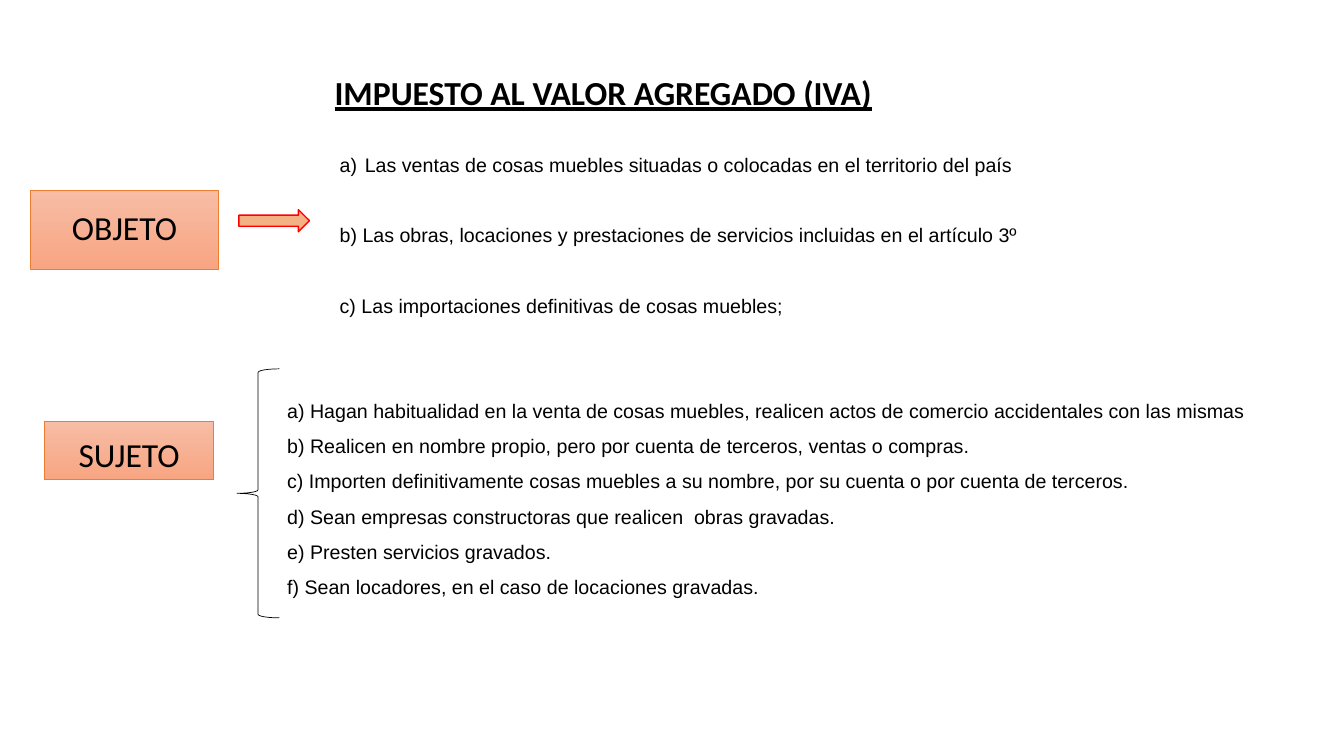
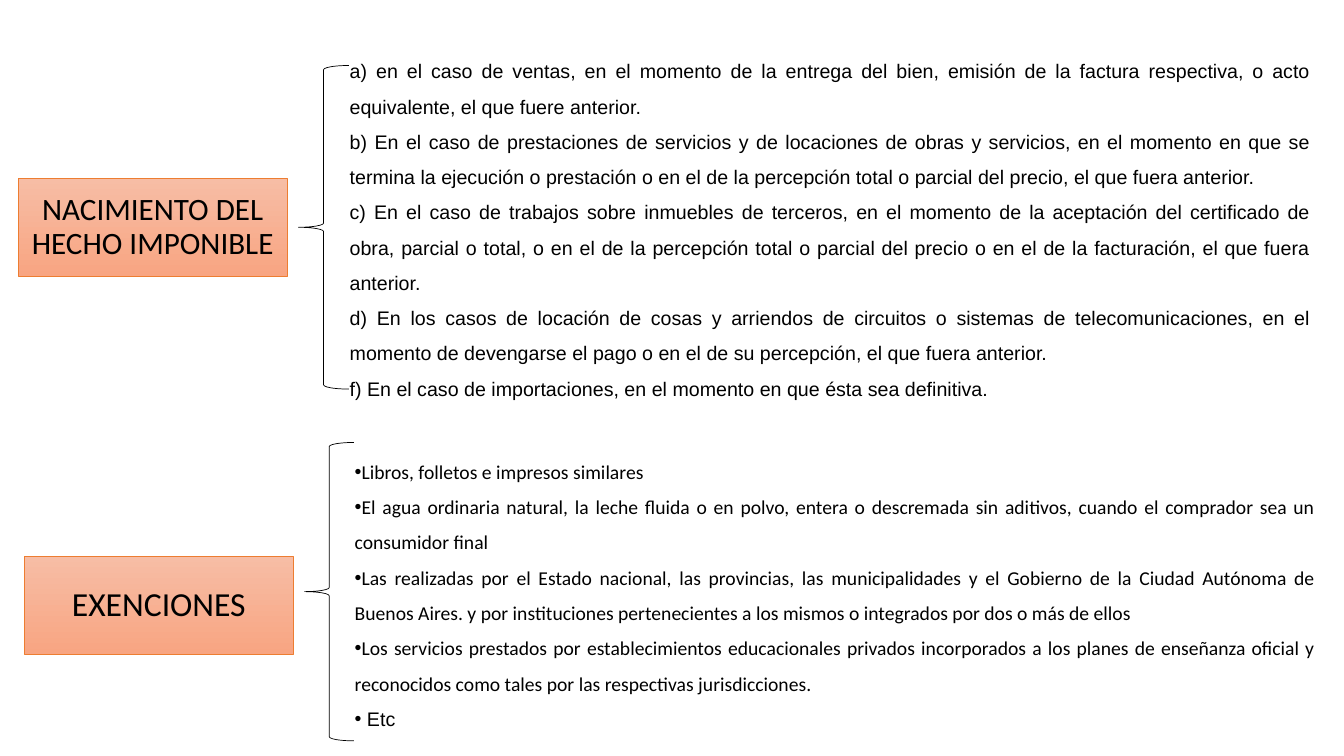
from lxml.etree import SubElement
from pptx import Presentation
from pptx.dml.color import RGBColor
from pptx.enum.shapes import MSO_SHAPE
from pptx.enum.text import MSO_ANCHOR, PP_ALIGN
from pptx.oxml.ns import qn
from pptx.util import Pt

PX = 9144  # 100 px to the inch
COLORS = {
    "text": "000000",
    "label_top": "F7BDA5",
    "label_bottom": "F8A582",
    "label_line": "ED7D31",
    "arrow_fill": "F4B183",
    "arrow_line": "FF0000",
}
RGB = {name: RGBColor.from_string(value) for name, value in COLORS.items()}

# Text formats
TITLE = {"name": "Calibri", "size": Pt(24), "bold": True, "underline": True}
LABEL = {"name": "Calibri", "size": Pt(24)}
LONG_LABEL = {**LABEL, "size": Pt(22.2)}
BODY = {"name": "Arial", "size": Pt(14)}
EXEMPTION = {**BODY, "name": "Calibri"}
LIST_PITCH = Pt(25.2)


def write(sp, lines, font, align, spacing, anchor=MSO_ANCHOR.MIDDLE):
    tf = sp.text_frame
    tf.word_wrap = True
    tf.vertical_anchor = anchor
    for i, line in enumerate(lines):
        p = tf.paragraphs[0] if i == 0 else tf.add_paragraph()
        p.alignment = align
        p.line_spacing = spacing
        r = p.add_run()
        r.text = line
        for key, value in font.items():
            setattr(r.font, key, value)
        r.font.color.rgb = RGB["text"]
    return tf.paragraphs


def add_outlined(s, preset, box, line, width):
    sp = s.shapes.add_shape(preset, *(v * PX for v in box))
    sp.shadow.inherit = False
    sp.fill.background()
    sp.line.color.rgb = RGB[line]
    sp.line.width = Pt(width)
    return sp


prs = Presentation()
prs.slide_width = 1333 * PX
prs.slide_height = 750 * PX
blank = prs.slide_layouts[6]
slides = [prs.slides.add_slide(blank) for _ in range(2)]

# Labels: slide, box, text, format, anchor
labels = [
    (0, (30, 189, 187, 78), "OBJETO", LABEL, MSO_ANCHOR.MIDDLE),
    (0, (44, 418, 168, 58), "SUJETO", LABEL, MSO_ANCHOR.BOTTOM),
    (1, (18, 177, 267, 97), "NACIMIENTO DEL HECHO IMPONIBLE", LONG_LABEL, MSO_ANCHOR.MIDDLE),
    (1, (24, 552, 267, 97), "EXENCIONES", LABEL, MSO_ANCHOR.MIDDLE),
]
for n, box, text, font, anchor in labels:
    sp = add_outlined(slides[n], MSO_SHAPE.RECTANGLE, box, "label_line", 0.5)
    sp.fill.gradient()
    sp.fill.gradient_angle = 270
    for stop, position, color in zip(sp.fill.gradient_stops, (0, 1), ("label_top", "label_bottom")):
        stop.position = position
        stop.color.rgb = RGB[color]
    write(sp, [text], font, PP_ALIGN.CENTER, 0.9, anchor)

# Braces
for n, box in [(0, (235, 366, 42, 247)), (1, (296, 65, 50, 321)), (1, (302, 439, 49, 296))]:
    add_outlined(slides[n], MSO_SHAPE.LEFT_BRACE, box, "text", 0.5)

# Arrow
sp = add_outlined(slides[0], MSO_SHAPE.RIGHT_ARROW, (237, 208, 70, 22), "arrow_line", 1)
sp.fill.solid()
sp.fill.fore_color.rgb = RGB["arrow_fill"]

# Title
sp = slides[0].shapes.add_textbox(322 * PX, 37 * PX, 563 * PX, 81 * PX)
write(sp, ["IMPUESTO AL VALOR AGREGADO (IVA)"], TITLE, PP_ALIGN.LEFT, 1.7)

# Lists: slide, box, format, anchor, lines
lists = {
    "objeto": (0, (327, 135, 718, 222), BODY, MSO_ANCHOR.TOP, [
        "Las ventas de cosas muebles situadas o colocadas en el territorio del país",
        "b) Las obras, locaciones y prestaciones de servicios incluidas en el artículo 3º",
        "c) Las importaciones definitivas de cosas muebles;",
    ]),
    "sujeto": (0, (275, 378, 1050, 222), BODY, MSO_ANCHOR.MIDDLE, [
        "a) Hagan habitualidad en la venta de cosas muebles, realicen actos de comercio accidentales con las mismas",
        "b) Realicen en nombre propio, pero por cuenta de terceros, ventas o compras.",
        "c) Importen definitivamente cosas muebles a su nombre, por su cuenta o por cuenta de terceros.",
        "d) Sean empresas constructoras que realicen  obras gravadas.",
        "e) Presten servicios gravados.",
        "f) Sean locadores, en el caso de locaciones gravadas.",
    ]),
    "nacimiento": (1, (337, 58, 973, 328), BODY, MSO_ANCHOR.MIDDLE, [
        "a) en el caso de ventas, en el momento de la entrega del bien, emisión de la factura respectiva, "
        "o acto equivalente, el que fuere anterior.",
        "b) En el caso de prestaciones de servicios y de locaciones de obras y servicios, en el momento en que "
        "se termina la ejecución o prestación o en el de la percepción total o parcial del precio, "
        "el que fuera anterior.",
        "c) En el caso de trabajos sobre inmuebles de terceros, en el momento de la aceptación del certificado "
        "de obra, parcial o total, o en el de la percepción total o parcial del precio o en el de la "
        "facturación, el que fuera anterior.",
        "d) En los casos de locación de cosas y arriendos de circuitos o sistemas de telecomunicaciones, en el "
        "momento de devengarse el pago o en el de su percepción, el que fuera anterior.",
        "f) En el caso de importaciones, en el momento en que ésta sea definitiva.",
    ]),
    "exenciones": (1, (342, 438, 973, 293), EXEMPTION, MSO_ANCHOR.MIDDLE, [
        "Libros, folletos e impresos similares",
        "El agua ordinaria natural, la leche fluida o en polvo, entera o descremada sin aditivos, cuando el "
        "comprador sea un consumidor final",
        "Las realizadas por el Estado nacional, las provincias, las municipalidades y el Gobierno de la Ciudad "
        "Autónoma de Buenos Aires. y por instituciones pertenecientes a los mismos o integrados por dos o más "
        "de ellos",
        "Los servicios prestados por establecimientos educacionales privados incorporados a los planes de "
        "enseñanza oficial y reconocidos como tales por las respectivas jurisdicciones.",
        " Etc",
    ]),
}
paragraphs = {}
for name, (n, box, font, anchor, lines) in lists.items():
    sp = slides[n].shapes.add_textbox(*(v * PX for v in box))
    paragraphs[name] = write(sp, lines, font, PP_ALIGN.JUSTIFY, LIST_PITCH, anchor)

# Numbered first item, with an open line between items
first, *others = paragraphs["objeto"]
pPr = first._p.get_or_add_pPr()
pPr.set("marL", str(25 * PX))
pPr.set("indent", str(-25 * PX))
SubElement(pPr, qn("a:buFont"), typeface="+mj-lt")
SubElement(pPr, qn("a:buAutoNum"), type="alphaLcParenR")
for p in others:
    p.space_before = LIST_PITCH

# Bulleted exemptions
for p in paragraphs["exenciones"]:
    pPr = p._p.get_or_add_pPr()
    SubElement(pPr, qn("a:buFont"), typeface="Arial")
    SubElement(pPr, qn("a:buChar"), char="•")
paragraphs["exenciones"][-1].runs[0].font.name = "Arial"

prs.save("out.pptx")
